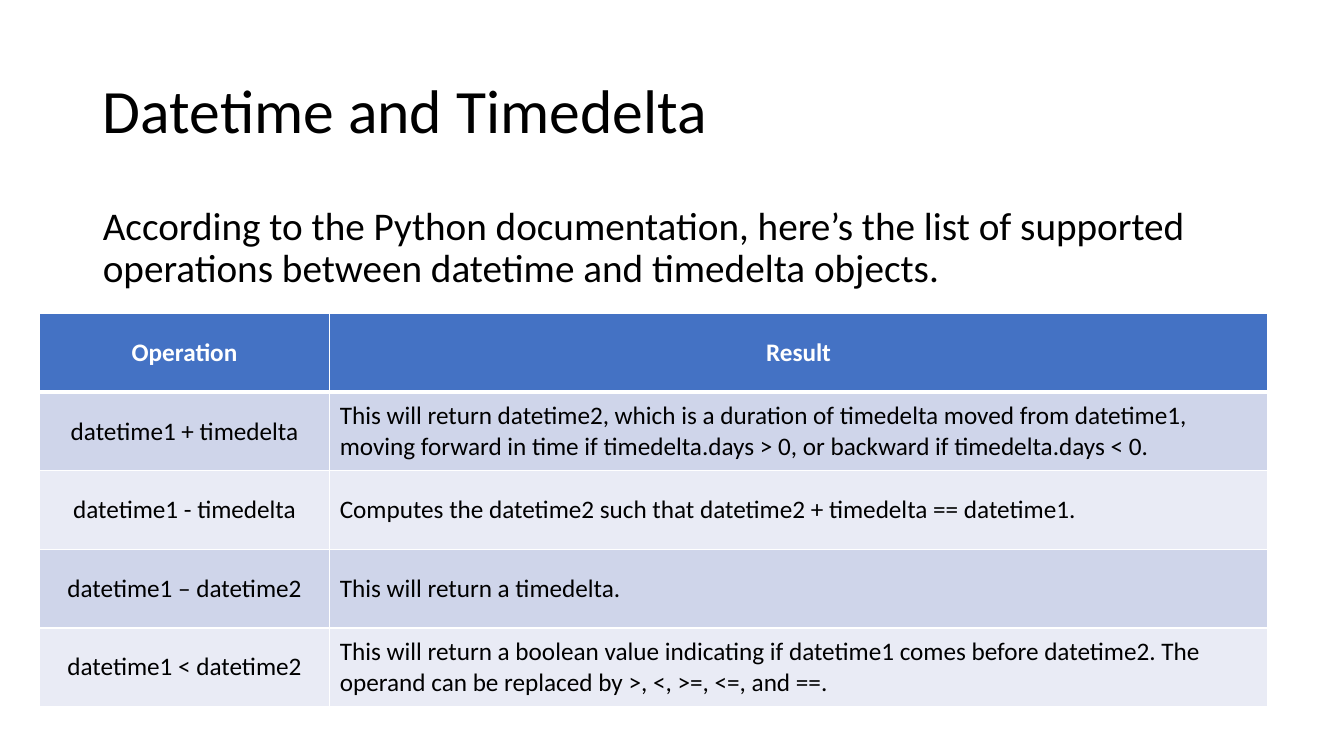
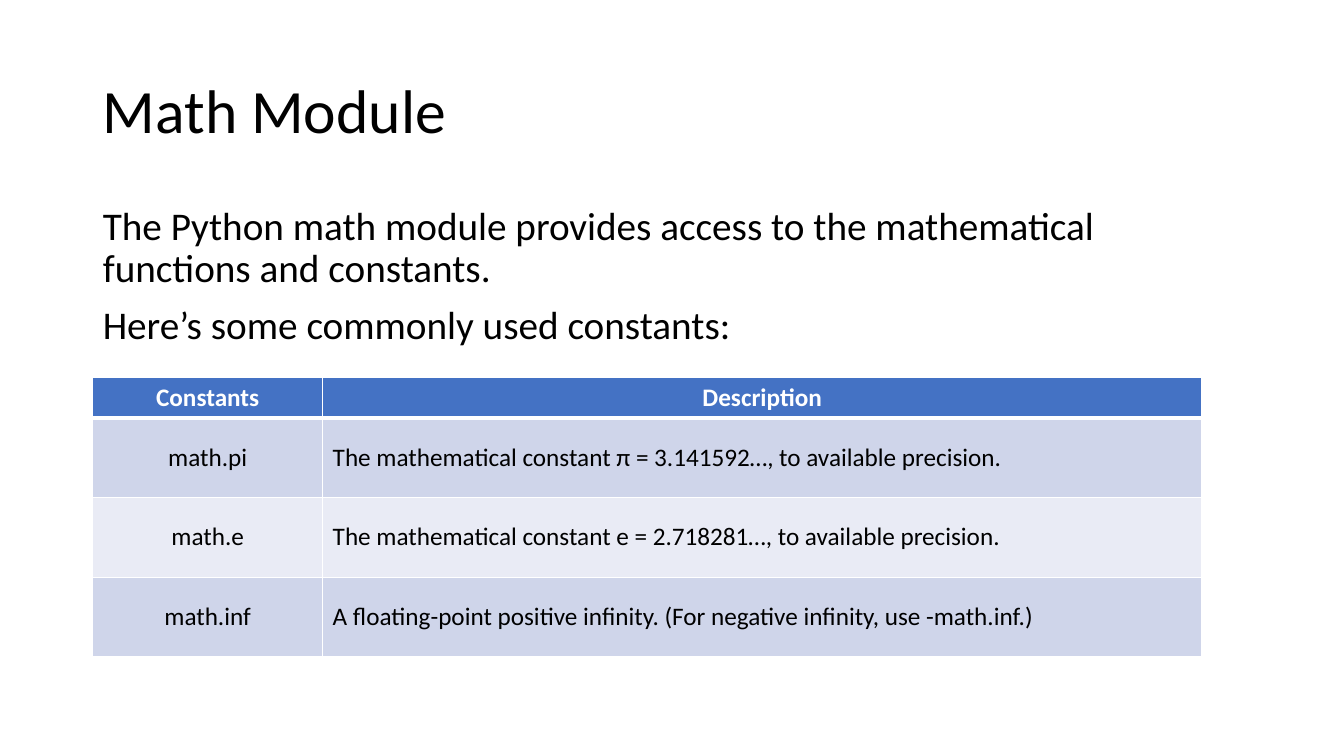
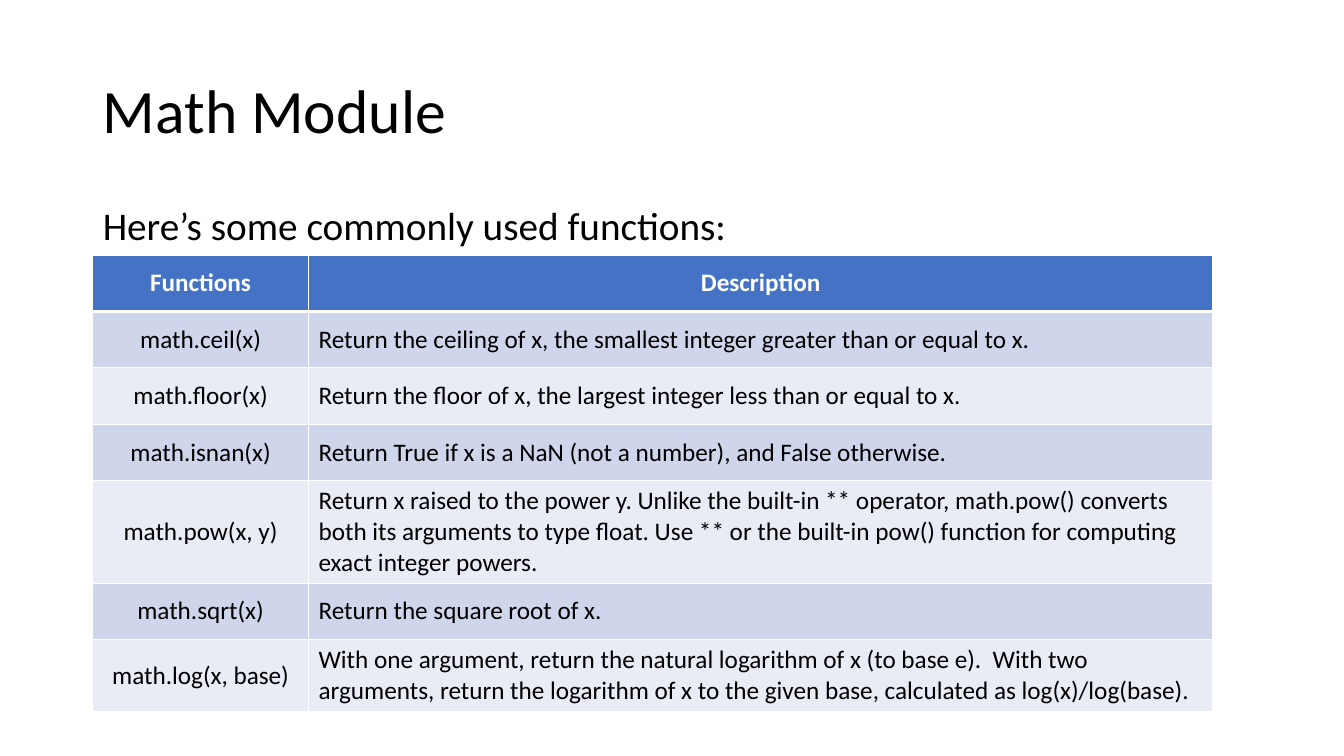
from dataclasses import dataclass

from lxml import etree
from pptx import Presentation
from pptx import util as u
from pptx.dml.color import RGBColor
from pptx.enum import text
from pptx.oxml import ns


@dataclass(frozen=True)
class Theme:
    font: str = "Calibri"
    ink: str = "000000"
    white: str = "FFFFFF"
    header: str = "4472C4"
    bands: tuple = ("CFD5EA", "E9EBF5")
    title_size: int = 44
    body_size: int = 28
    table_size: int = 18
    rule: int = 1
    header_rule: int = 3


T = Theme()
TITLE_BOX = (0.92, 0.4, 11.5, 1.45)
BODY_BOX = (0.92, 2, 11.5, 4.76)


def add_run(p, words, size, color=T.ink, bold=False):
    r = p.add_run()
    r.text = words
    r.font.name, r.font.size, r.font.bold = T.font, u.Pt(size), bold
    r.font.color.rgb = RGBColor.from_string(color)


def place(sp, box):
    sp.left, sp.top, sp.width, sp.height = map(u.Inches, box)


def fill_placeholder(sp, box, lines, size, anchor):
    """Place a title or body placeholder and write one paragraph a line."""
    place(sp, box)
    tf = sp.text_frame
    tf.word_wrap = True
    tf.auto_size = text.MSO_AUTO_SIZE.NONE
    tf.vertical_anchor = anchor
    for i, line in enumerate(lines):
        p = tf.add_paragraph() if i else tf.paragraphs[0]
        pPr = p._p.get_or_add_pPr()
        pPr.set("marL", "0")
        pPr.set("indent", "0")
        etree.SubElement(pPr, ns.qn("a:buNone"))
        p.alignment = text.PP_ALIGN.LEFT
        p.line_spacing = 0.9
        p.space_before = u.Pt(10 if i else 0)
        add_run(p, line, size)


def set_borders(cell, top, bottom):
    tcPr = cell._tc.get_or_add_tcPr()
    for side, width in (("L", T.rule), ("R", T.rule), ("T", top), ("B", bottom)):
        ln = etree.SubElement(tcPr, ns.qn(f"a:ln{side}"), w=str(u.Pt(width)))
        fill = etree.SubElement(ln, ns.qn("a:solidFill"))
        etree.SubElement(fill, ns.qn("a:srgbClr"), val=T.white)


def fill_cell(cell, words, row, col):
    is_header = row == 0
    set_borders(cell,
                top=T.header_rule if row == 1 else T.rule,
                bottom=T.header_rule if is_header else T.rule)
    cell.fill.solid()
    color = T.header if is_header else T.bands[(row - 1) % 2]
    cell.fill.fore_color.rgb = RGBColor.from_string(color)
    cell.vertical_anchor = text.MSO_ANCHOR.MIDDLE
    p = cell.text_frame.paragraphs[0]
    centred = is_header or col == 0
    p.alignment = text.PP_ALIGN.CENTER if centred else text.PP_ALIGN.LEFT
    add_run(p, words, T.table_size, T.white if is_header else T.ink, is_header)


def add_reference_table(s, left, top, widths, heights, rows):
    """Two-column table with a header row and banded rows."""
    box = map(u.Inches, (left, top, sum(widths), sum(heights)))
    table = s.shapes.add_table(len(rows), len(widths), *box).table
    for column, width in zip(table.columns, widths):
        column.width = u.Inches(width)
    for i, (height, row) in enumerate(zip(heights, rows)):
        table.rows[i].height = u.Inches(height)
        for j, words in enumerate(row):
            fill_cell(table.cell(i, j), words, i, j)


def add_reference_slide(prs, title, intro, **table):
    s = prs.slides.add_slide(prs.slide_layouts[1])
    fill_placeholder(s.shapes.title, TITLE_BOX, [title], T.title_size,
                     text.MSO_ANCHOR.MIDDLE)
    fill_placeholder(s.placeholders[1], BODY_BOX, intro, T.body_size,
                     text.MSO_ANCHOR.TOP)
    add_reference_table(s, **table)


def main():
    prs = Presentation()
    prs.slide_width, prs.slide_height = u.Inches(13.33), u.Inches(7.5)

    # Datetime operations
    add_reference_slide(
        prs, "Datetime and Timedelta",
        ["According to the Python documentation, here’s the list of supported "
         "operations between datetime and timedelta objects."],
        left=0.39, top=3.11, widths=(2.88, 9.3), heights=[0.78] * 5,
        rows=[
            ("Operation", "Result"),
            ("datetime1 + timedelta",
             "This will return datetime2, which is a duration of timedelta moved "
             "from datetime1, moving forward in time if timedelta.days > 0, or "
             "backward if timedelta.days < 0."),
            ("datetime1 - timedelta",
             "Computes the datetime2 such that datetime2 + timedelta == datetime1."),
            ("datetime1 – datetime2", "This will return a timedelta."),
            ("datetime1 < datetime2",
             "This will return a boolean value indicating if datetime1 comes before "
             "datetime2. The operand can be replaced by >, <, >=, <=, and ==."),
        ])

    # Math constants
    add_reference_slide(
        prs, "Math Module",
        ["The Python math module provides access to the mathematical functions "
         "and constants.",
         "Here’s some commonly used constants:"],
        left=0.92, top=3.74, widths=(2.28, 8.72), heights=[0.4] + [0.79] * 3,
        rows=[
            ("Constants", "Description"),
            ("math.pi",
             "The mathematical constant π = 3.141592…, to available precision."),
            ("math.e",
             "The mathematical constant e = 2.718281…, to available precision."),
            ("math.inf",
             "A floating-point positive infinity. (For negative infinity, use "
             "-math.inf.)"),
        ])

    # Math functions
    add_reference_slide(
        prs, "Math Module",
        ["Here’s some commonly used functions:"],
        left=0.92, top=2.53, widths=(2.14, 8.97),
        heights=[0.56] * 4 + [0.82] + [0.56] * 2,
        rows=[
            ("Functions", "Description"),
            ("math.ceil(x)",
             "Return the ceiling of x, the smallest integer greater than or equal "
             "to x."),
            ("math.floor(x)",
             "Return the floor of x, the largest integer less than or equal to x."),
            ("math.isnan(x)",
             "Return True if x is a NaN (not a number), and False otherwise."),
            ("math.pow(x, y)",
             "Return x raised to the power y. Unlike the built-in ** operator, "
             "math.pow() converts both its arguments to type float. Use ** or the "
             "built-in pow() function for computing exact integer powers."),
            ("math.sqrt(x)", "Return the square root of x."),
            ("math.log(x, base)",
             "With one argument, return the natural logarithm of x (to base e).  "
             "With two arguments, return the logarithm of x to the given base, "
             "calculated as log(x)/log(base)."),
        ])

    prs.save("out.pptx")


if __name__ == "__main__":
    main()
